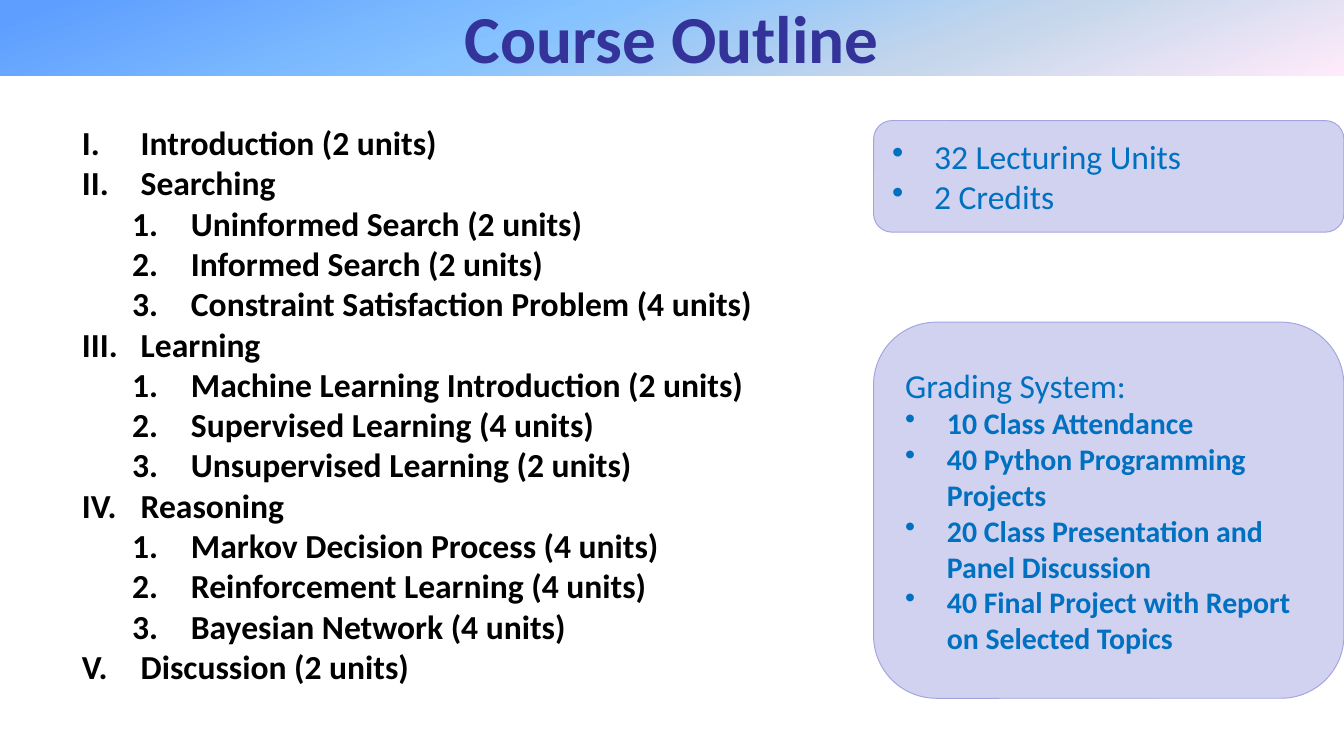
from pptx import Presentation
from pptx.dml.color import RGBColor
from pptx.enum.shapes import MSO_SHAPE as Shape
from pptx.enum.text import MSO_ANCHOR as Anchor, PP_ALIGN as Align
from pptx.oxml import parse_xml
from pptx.oxml.ns import nsdecls
from pptx.util import Cm, Pt

FONT = "Calibri"
BLUE = "0070C0"
BAND_STOPS = [(4, "5E9EFF"), (40, "85C2FF"), (70, "C4D6EB"), (100, "FFEBFA")]

OUTLINE = [
    ("Introduction (2 units)", []),
    ("Searching", ["Uninformed Search (2 units)",
                   "Informed Search (2 units)",
                   "Constraint Satisfaction Problem (4 units)"]),
    ("Learning", ["Machine Learning Introduction (2 units)",
                  "Supervised Learning (4 units)",
                  "Unsupervised Learning (2 units)"]),
    ("Reasoning", ["Markov Decision Process (4 units)",
                   "Reinforcement Learning (4 units)",
                   "Bayesian Network (4 units)"]),
    ("Discussion (2 units)", []),
]
WORKLOAD = ["32 Lecturing Units", "2 Credits"]
GRADING = ["10 Class Attendance",
           "40 Python Programming Projects",
           "20 Class Presentation and Panel Discussion",
           "40 Final Project with Report on Selected Topics"]


def rgb(value):
    return RGBColor.from_string(value)


def add_line(frame, text, size, color, bold=False, align=Align.LEFT):
    """Write the next paragraph, using the frame's first one if it is empty."""
    first = frame.paragraphs[0]
    line = frame.add_paragraph() if first.runs else first
    line.add_run().text = text
    line.alignment = align
    font = line.font
    font.name, font.size, font.bold = FONT, Pt(size), bold
    font.color.rgb = rgb(color)
    return line


def set_marker(line, marker, margin, hanging):
    """Give a paragraph a hanging indent and a bullet or numbering element."""
    props = line._p.get_or_add_pPr()
    props.set("marL", str(Cm(margin)))
    props.set("indent", str(-Cm(hanging)))
    # The marker belongs before the default run properties
    props.insert_element_before(
        parse_xml(f'<a:{marker} {nsdecls("a")}/>'), "a:defRPr")


def add_bullet(frame, text, size, bold=False):
    line = add_line(frame, text, size, BLUE, bold)
    set_marker(line, 'buChar char="•"', 0.79, 0.79)


def add_numbered(frame, text, level=0):
    line = add_line(frame, text, 18, "000000", bold=True)
    line.level = level
    scheme = ("romanUcPeriod", "arabicPeriod")[level]
    set_marker(line, f'buAutoNum type="{scheme}"', 1.11 + 0.95 * level, 1.11)


def add_title_band(slide, text, width):
    band = slide.shapes.add_shape(Shape.RECTANGLE, 0, Cm(-0.05), width, Cm(1.48))
    band.shadow.inherit = False
    band.line.fill.background()
    # Four-stop gradient
    band.fill.gradient()
    band.fill.gradient_angle = 290
    stops = "".join(
        f'<a:gs pos="{pos * 1000}"><a:srgbClr val="{color}"/></a:gs>'
        for pos, color in BAND_STOPS)
    old_stops = band.fill.gradient_stops[0]._gs.getparent()
    old_stops.getparent().replace(
        old_stops, parse_xml(f'<a:gsLst {nsdecls("a")}>{stops}</a:gsLst>'))
    # Title
    frame = band.text_frame
    frame.vertical_anchor = Anchor.MIDDLE
    frame.margin_left = frame.margin_right = Cm(0.18)
    frame.margin_top = frame.margin_bottom = Cm(0.1)
    add_line(frame, text, 36, "333399", bold=True, align=Align.CENTER)


def add_outline(slide):
    box = slide.shapes.add_textbox(Cm(1.3), Cm(2.18), Cm(15.2), Cm(11.03))
    frame = box.text_frame
    frame.word_wrap = True
    for topic, lessons in OUTLINE:
        add_numbered(frame, topic)
        for lesson in lessons:
            add_numbered(frame, lesson, level=1)


def add_card(slide, top, height):
    card = slide.shapes.add_shape(
        Shape.ROUNDED_RECTANGLE, Cm(16.51), Cm(top), Cm(8.89), Cm(height))
    card.shadow.inherit = False
    card.fill.solid()
    card.fill.fore_color.rgb = rgb("D1D1F0")
    card.line.color.rgb = rgb("A3A3E0")
    card.line.width = Pt(0.5)
    card.text_frame.word_wrap = True
    card.text_frame.vertical_anchor = Anchor.MIDDLE
    return card.text_frame


def main():
    deck = Presentation()
    deck.slide_width, deck.slide_height = Cm(25.4), Cm(14.29)
    slide = deck.slides.add_slide(deck.slide_layouts[6])

    add_title_band(slide, "Course Outline", deck.slide_width)
    add_outline(slide)

    # Workload card
    workload = add_card(slide, 2.28, 2.11)
    for item in WORKLOAD:
        add_bullet(workload, item, 18)

    # Grading card
    grading = add_card(slide, 6.09, 7.11)
    add_line(grading, "Grading System:", 18, BLUE)
    for item in GRADING:
        add_bullet(grading, item, 16, bold=True)

    deck.save("out.pptx")


if __name__ == "__main__":
    main()
